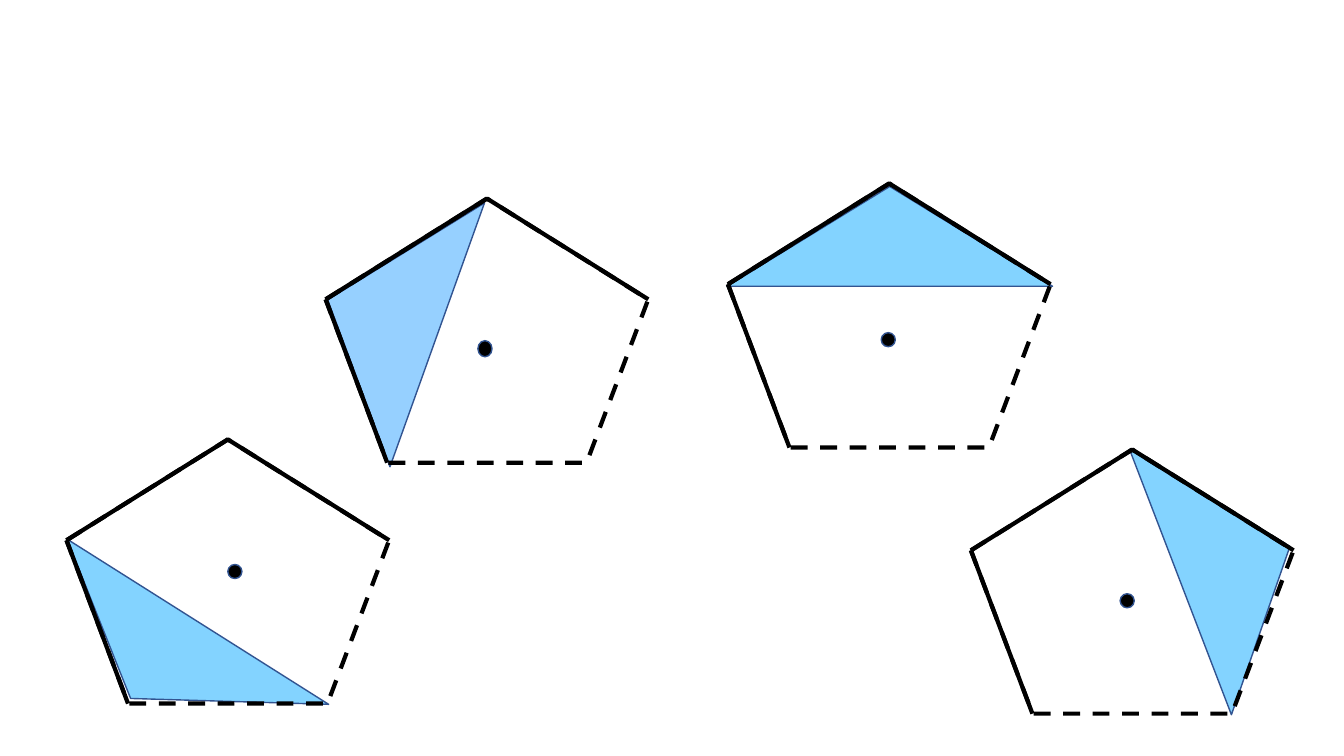
from dataclasses import dataclass
from typing import Any

from lxml import etree
from pptx import Presentation
from pptx.dml.color import RGBColor
from pptx.enum import dml, shapes
from pptx.oxml import ns
from pptx.util import Inches, Pt


@dataclass(frozen=True)
class Theme:
    ink: str = "000000"
    edge: str = "325491"
    sky: str = "83D3FF"
    pale_sky: str = "96D0FF"
    thin: float = 1
    thick: float = 3


@dataclass(frozen=True)
class Box:
    left: float
    top: float
    width: float
    height: float

    def lengths(self) -> list[int]:
        return [Inches(v) for v in (self.left, self.top, self.width, self.height)]


@dataclass(frozen=True)
class Triangle:
    box: Box
    fill: str
    apex: float = 0.5
    rotation: float = 0
    flipped: bool = False


@dataclass(frozen=True)
class Pentagon:
    left: float
    top: float
    dot: Box
    triangle: Triangle


THEME = Theme()
PENTAGON_WIDTH, PENTAGON_HEIGHT = 3.2, 2.62
APEX, LEFT, RIGHT, FOOT = (1.6, 0), (0, 1), (3.2, 1), (0.61, 2.62)
SOLID_SIDES = ((APEX, LEFT), (RIGHT, APEX), (FOOT, LEFT))

PENTAGONS = (
    Pentagon(7.22, 1.82, Box(8.74, 3.3, 0.14, 0.14),
             Triangle(Box(7.21, 1.85, 3.23, 0.99), THEME.sky)),
    Pentagon(0.66, 4.36, Box(2.26, 5.6, 0.14, 0.14),
             Triangle(Box(0.16, 6.09, 3.07, 1), THEME.sky, 0.449, 32.3, True)),
    Pentagon(9.63, 4.46, Box(11.11, 5.89, 0.14, 0.14),
             Triangle(Box(10.83, 5, 2.82, 1.14), THEME.sky, 0.521, 69)),
    Pentagon(3.23, 1.97, Box(4.74, 3.38, 0.14, 0.16),
             Triangle(Box(2.41, 2.56, 2.78, 1.14), THEME.pale_sky, 0.486, 289.7)),
)


def set_line(line: Any, color: str, width: float, **extra: Any) -> None:
    line.fill.solid()
    line.fill.fore_color.rgb = RGBColor.from_string(color)
    for name, value in {"width": Pt(width), **extra}.items():
        setattr(line, name, value)


def add_figure(page: Any, kind: Any, box: Box, fill: str | None = None) -> Any:
    figure = page.shapes.add_shape(kind, *box.lengths())
    figure.shadow.inherit = False
    if fill is None:
        figure.fill.background()
    else:
        figure.fill.solid()
        figure.fill.fore_color.rgb = RGBColor.from_string(fill)
        set_line(figure.line, THEME.edge, THEME.thin)
    return figure


def add_triangle(page: Any, triangle: Triangle) -> None:
    figure = add_figure(page, shapes.MSO_SHAPE.ISOSCELES_TRIANGLE,
                        triangle.box, triangle.fill)
    figure.adjustments[0] = triangle.apex
    figure.rotation = triangle.rotation
    if triangle.flipped:
        figure.element.spPr.find(ns.qn("a:xfrm")).set("flipV", "1")


def add_outline(page: Any, pentagon: Pentagon) -> None:
    box = Box(pentagon.left, pentagon.top, PENTAGON_WIDTH, PENTAGON_HEIGHT)
    figure = add_figure(page, shapes.MSO_SHAPE.REGULAR_PENTAGON, box)
    set_line(figure.line, THEME.ink, THEME.thick,
             dash_style=dml.MSO_LINE.DASH)


def add_solid_sides(page: Any, pentagon: Pentagon) -> None:
    for side in SOLID_SIDES:
        ends = [Inches(v) for x, y in side
                for v in (pentagon.left + x, pentagon.top + y)]
        line = page.shapes.add_connector(shapes.MSO_CONNECTOR.STRAIGHT, *ends)
        set_line(line.line, THEME.ink, THEME.thick)
        etree.SubElement(line.element.spPr, ns.qn("a:effectLst"))


def main() -> None:
    deck = Presentation()
    deck.slide_width, deck.slide_height = Inches(13.33), Inches(7.5)
    page = deck.slides.add_slide(deck.slide_layouts.get_by_name("Blank"))
    for pentagon in PENTAGONS:
        add_triangle(page, pentagon.triangle)
    for pentagon in PENTAGONS:
        add_outline(page, pentagon)
    for pentagon in PENTAGONS:
        add_figure(page, shapes.MSO_SHAPE.OVAL, pentagon.dot, THEME.ink)
    for pentagon in PENTAGONS:
        add_solid_sides(page, pentagon)
    deck.save("out.pptx")


if __name__ == "__main__":
    main()
